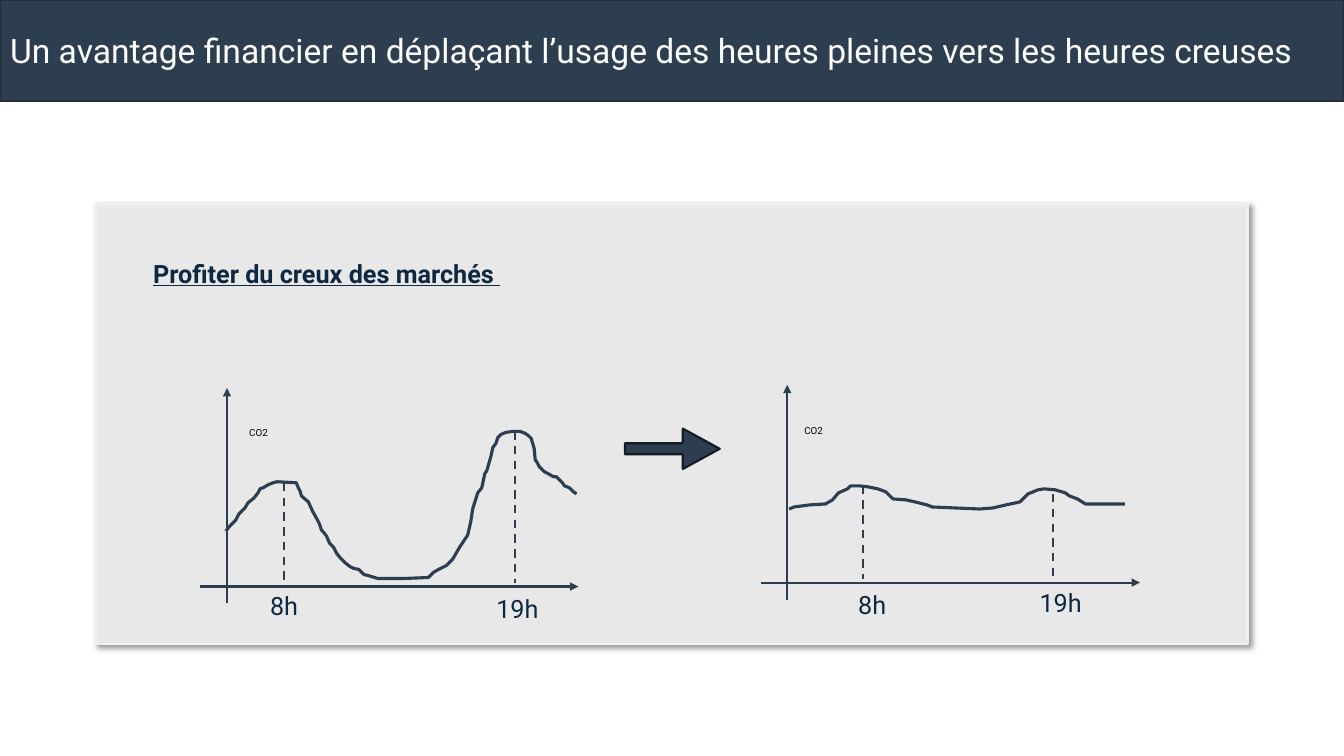
from lxml.etree import SubElement
from pptx import Presentation
from pptx.dml.color import RGBColor
from pptx.enum.dml import MSO_LINE as Dash
from pptx.enum.shapes import MSO_CONNECTOR as Link, MSO_SHAPE as Kind
from pptx.enum.text import MSO_ANCHOR as Anchor, MSO_AUTO_SIZE as Fit, PP_ALIGN as Align
from pptx.oxml.ns import qn
from pptx.util import Cm, Pt

NAVY, INK = "2C3E50", "0E2841"


def paint(item, line, width, fill=None):
    """Set the outline and, for a shape, the fill; no fill given means none."""
    item.line.color.rgb = RGBColor.from_string(line)
    item.line.width = Pt(width)
    if hasattr(item, "fill"):
        if fill:
            item.fill.solid()
            item.fill.fore_color.rgb = RGBColor.from_string(fill)
        else:
            item.fill.background()
        item.shadow.inherit = False
    else:
        SubElement(item._element.spPr, qn("a:effectLst"))


def write(box, text, size, color, align=Align.LEFT):
    frame = box.text_frame
    frame.word_wrap = True
    frame.auto_size = Fit.NONE
    para = frame.paragraphs[0]
    para.alignment = align
    run = para.add_run()
    run.text = text
    run.font.name = "Roboto"
    run.font.size = Pt(size)
    run.font.color.rgb = RGBColor.from_string(color)
    return run


deck = Presentation()
deck.slide_width, deck.slide_height = Cm(33.87), Cm(19.05)
slide = deck.slides.add_slide(deck.slide_layouts[5])
shapes = slide.shapes

# Title band
title = shapes.title
title.left, title.top, title.width, title.height = Cm(0), Cm(0), Cm(33.87), Cm(2.54)
title.fill.solid()
title.fill.fore_color.rgb = RGBColor.from_string(NAVY)
title.line.color.rgb = RGBColor.from_string("212E3B")
title.line.width = Pt(1.5)
title.text_frame.vertical_anchor = Anchor.MIDDLE
write(title, "Un avantage financier en déplaçant l’usage des heures pleines vers les heures creuses",
      24, "FFFFFF")

# Panel with its soft shadow
panel = shapes.add_shape(Kind.RECTANGLE, Cm(2.41), Cm(5.13), Cm(29.03), Cm(11.1))
paint(panel, "ECF0F1", 1.5, "E8E8E8")
glow = SubElement(panel._element.spPr.find(qn("a:effectLst")), qn("a:outerShdw"),
                  blurRad=str(Pt(4)), dist=str(Pt(3)), dir="2700000", algn="tl", rotWithShape="0")
shade = SubElement(glow, qn("a:srgbClr"), val="000000")
SubElement(shade, qn("a:alpha"), val="40000")

head = shapes.add_textbox(Cm(3.61), Cm(6.38), Cm(12.4), Cm(1.02))
run = write(head, "Profiter du creux des marchés ", 18, INK)
run.font.bold = run.font.underline = True

arrow = shapes.add_shape(Kind.RIGHT_ARROW, Cm(15.75), Cm(10.8), Cm(2.39), Cm(1.02))
arrow.adjustments[0], arrow.adjustments[1] = 0.271, 0.913
paint(arrow, "131B23", 1.5, NAVY)

# Axes (with arrowhead) and peak markers (dashed): x1, y1, x2, y2
axes = [(5.03, 14.78, 14.58, 14.78), (5.72, 15.19, 5.72, 9.78),
        (19.18, 14.68, 28.73, 14.68), (19.84, 15.11, 19.84, 9.7)]
peaks = [(7.16, 12.17, 7.16, 14.78), (12.98, 10.87, 12.98, 14.68),
         (21.74, 12.24, 21.74, 14.58), (26.54, 12.45, 26.54, 14.68)]
for ends in axes + peaks:
    line = shapes.add_connector(Link.STRAIGHT, *map(Cm, ends))
    paint(line, NAVY, 1.5)
    if ends in axes:
        SubElement(line.line._get_or_add_ln(), qn("a:tailEnd"), type="triangle")
    else:
        line.line.dash_style = Dash.DASH

# Load curves, in hundredths of an inch
step = Cm(2.54) / 100
before = [(224, 527), (228, 522), (232, 518), (234, 516), (237, 510), (243, 504), (246, 499),
          (252, 494), (256, 489), (258, 485), (261, 484), (266, 481), (271, 479), (275, 478),
          (294, 479), (296, 484), (298, 488), (299, 492), (306, 498), (310, 507), (315, 516),
          (317, 520), (319, 526), (321, 528), (324, 532), (327, 539), (331, 543), (334, 549),
          (338, 554), (342, 558), (347, 562), (351, 564), (356, 565), (361, 570), (365, 571),
          (375, 574), (400, 574), (425, 573), (430, 568), (435, 565), (443, 561), (449, 555),
          (456, 543), (464, 531), (467, 518), (469, 505), (474, 489), (478, 484), (481, 470),
          (483, 467), (487, 453), (489, 444), (492, 440), (494, 434), (497, 431), (502, 429),
          (509, 428), (516, 428), (521, 430), (524, 432), (527, 435), (530, 445), (531, 456),
          (533, 459), (535, 463), (540, 468), (544, 470), (549, 473), (552, 473), (558, 479),
          (560, 482), (565, 484), (569, 488), (572, 490)]
after = [(783, 505), (788, 503), (803, 501), (819, 500), (826, 496), (832, 489), (841, 485),
         (844, 482), (852, 482), (861, 483), (871, 485), (879, 488), (886, 495), (899, 496),
         (908, 498), (920, 501), (925, 503), (948, 504), (972, 505), (985, 504), (998, 501),
         (1012, 498), (1020, 490), (1030, 486), (1036, 485), (1047, 486), (1057, 489),
         (1061, 492), (1069, 495), (1077, 500), (1116, 500)]
for curve in (before, after):
    pen = shapes.build_freeform(*curve[0], scale=step)
    pen.add_line_segments(curve[1:], close=False)
    trace = pen.convert_to_shape()
    paint(trace, NAVY, 2.25)
    SubElement(trace.line._get_or_add_ln(), qn("a:round"))

# Labels: text, left, top, width, height, size, colour
labels = [("CO2", 5.59, 10.64, 1.85, 0.56, 7, "000000"),
          ("CO2", 19.58, 10.59, 1.85, 0.56, 7, "000000"),
          ("8h", 6.5, 14.76, 1.32, 1.02, 18, INK),
          ("19h", 12.19, 14.83, 1.7, 1.02, 18, INK),
          ("8h", 21.13, 14.73, 1.7, 1.02, 18, INK),
          ("19h", 25.88, 14.68, 1.7, 1.02, 18, INK)]
for text, left, top, width, height, size, color in labels:
    box = shapes.add_textbox(Cm(left), Cm(top), Cm(width), Cm(height))
    write(box, text, size, color, Align.CENTER)

deck.save("out.pptx")
